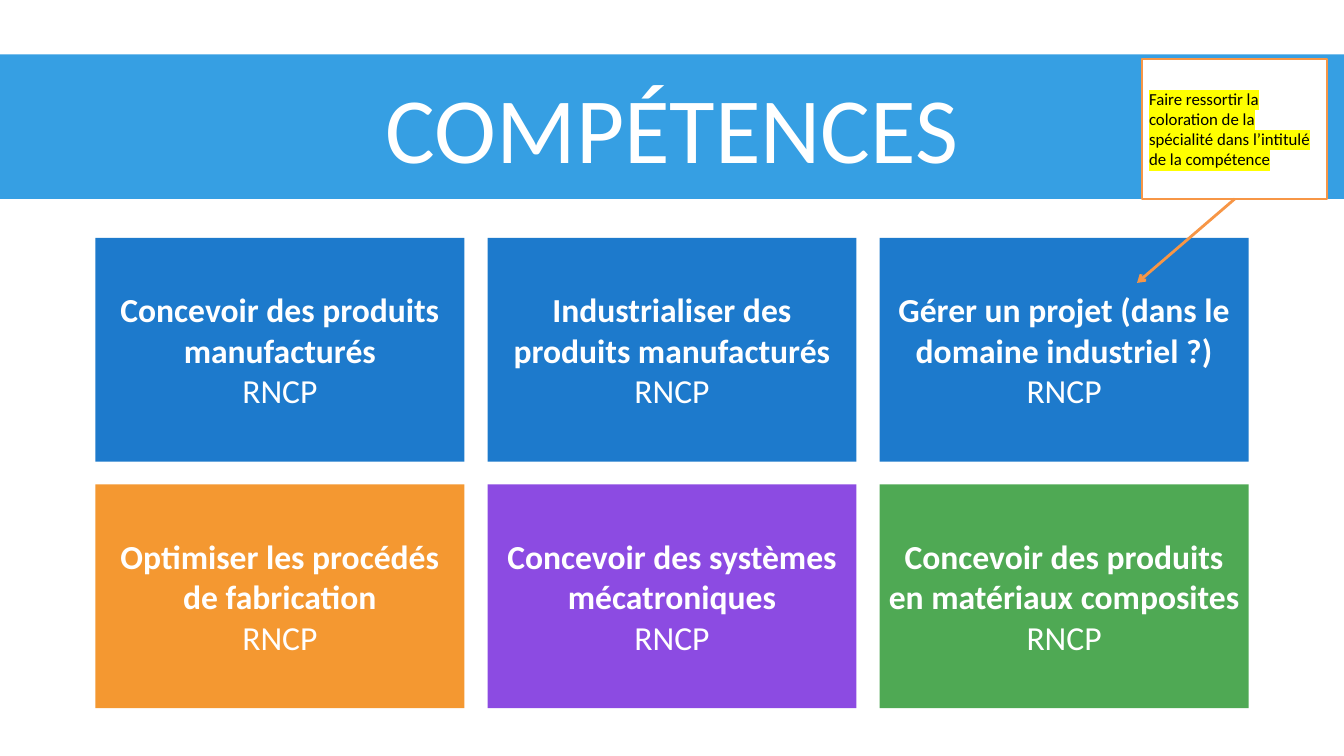
import pptx
import pptx.dml.color
import pptx.enum.shapes
import pptx.enum.text
import pptx.oxml
import pptx.oxml.ns
import pptx.util
from pptx.util import Inches

COLORS = {
    "banner": "369FE3",
    "common": "1D7ACC",
    "process": "F49831",
    "mechatronics": "8C4BE2",
    "composites": "4FA954",
    "note": "F79646",
    "highlight": "FFFF00",
    "white": "FFFFFF",
    "black": "000000",
}

SKILLS = [
    ("Concevoir des produits manufacturés", "common"),
    ("Industrialiser des produits manufacturés", "common"),
    ("Gérer un projet (dans le domaine industriel ?)", "common"),
    ("Optimiser les procédés de fabrication", "process"),
    ("Concevoir des systèmes mécatroniques", "mechatronics"),
    ("Concevoir des produits en matériaux composites", "composites"),
]

COLUMNS = 3
CARD_WIDTH, CARD_HEIGHT = 5.49, 3.33
GRID_LEFT, GRID_TOP = 1.42, 3.54
COLUMN_STEP, ROW_STEP = 5.835, 3.67


def rgb(name):
    return pptx.dml.color.RGBColor.from_string(COLORS[name])


def element(tag, **attributes):
    node = pptx.oxml.parse_xml(f"<a:{tag} {pptx.oxml.ns.nsdecls('a')}/>")
    for key, value in attributes.items():
        node.set(key, value)
    return node


class SlideBuilder:
    font_name = "Calibri"
    center = pptx.enum.text.PP_ALIGN.CENTER
    left = pptx.enum.text.PP_ALIGN.LEFT

    def __init__(self, slide):
        self.slide = slide

    def format_paragraph(self, para, size, color, align, bold=False):
        para.alignment = align
        for span in para.runs:
            span.font.name = self.font_name
            span.font.size = pptx.util.Pt(size)
            span.font.bold = bold
            span.font.color.rgb = rgb(color)

    def fill(self, shape, color):
        shape.fill.solid()
        shape.fill.fore_color.rgb = rgb(color)
        shape.text_frame.word_wrap = True
        shape.text_frame.vertical_anchor = pptx.enum.text.MSO_ANCHOR.MIDDLE

    def title(self, text, left, top, width, height):
        title = self.slide.shapes.title
        title.left, title.top = Inches(left), Inches(top)
        title.width, title.height = Inches(width), Inches(height)
        self.fill(title, "banner")
        title.text_frame.auto_size = pptx.enum.text.MSO_AUTO_SIZE.NONE
        title.text_frame.text = text
        self.format_paragraph(title.text_frame.paragraphs[0], 100, "white", self.center)

    def box(self, left, top, width, height, color):
        box = self.slide.shapes.add_shape(
            pptx.enum.shapes.MSO_SHAPE.RECTANGLE,
            Inches(left), Inches(top), Inches(width), Inches(height))
        box.shadow.inherit = False
        box.line.fill.background()
        self.fill(box, color)
        return box

    def card(self, skill, color, left, top):
        frame = self.box(left, top, CARD_WIDTH, CARD_HEIGHT, color).text_frame
        frame.text = f"{skill}\nRNCP"
        for para, bold in zip(frame.paragraphs, (True, False)):
            self.format_paragraph(para, 36, "white", self.center, bold)

    def note(self, text, left, top, width, height):
        note = self.box(left, top, width, height, "white")
        note.line.color.rgb = rgb("note")
        note.line.width = pptx.util.Pt(2)
        note.text_frame.text = text
        para = note.text_frame.paragraphs[0]
        self.format_paragraph(para, 18, "black", self.left)
        highlight = element("highlight")
        highlight.append(element("srgbClr", val=COLORS["highlight"]))
        properties = para.runs[0].font._element
        properties.find(pptx.oxml.ns.qn("a:solidFill")).addnext(highlight)
        return note

    def arrow_from(self, box, end_x, end_y):
        arrow = self.slide.shapes.add_connector(
            pptx.enum.shapes.MSO_CONNECTOR.STRAIGHT,
            box.left + box.width // 2, box.top + box.height,
            Inches(end_x), Inches(end_y))
        arrow.begin_connect(box, 2)
        arrow.line.color.rgb = rgb("note")
        arrow.line.width = pptx.util.Pt(3)
        arrow.line._get_or_add_ln().append(element("tailEnd", type="arrow"))
        arrow._element.spPr.append(element("effectLst"))


def main():
    deck = pptx.Presentation()
    deck.slide_width, deck.slide_height = Inches(20), Inches(11.25)
    page = SlideBuilder(deck.slides.add_slide(deck.slide_layouts[5]))

    page.title("COMPÉTENCES", 0, 0.81, 20, 2.15)
    for index, (skill, color) in enumerate(SKILLS):
        row, column = divmod(index, COLUMNS)
        page.card(skill, color, GRID_LEFT + column * COLUMN_STEP, GRID_TOP + row * ROW_STEP)

    note = page.note(
        "Faire ressortir la coloration de la spécialité dans l’intitulé de la compétence",
        17, 0.88, 2.75, 2.08)
    page.arrow_from(note, 16.92, 4.21)

    deck.save("out.pptx")


if __name__ == "__main__":
    main()
